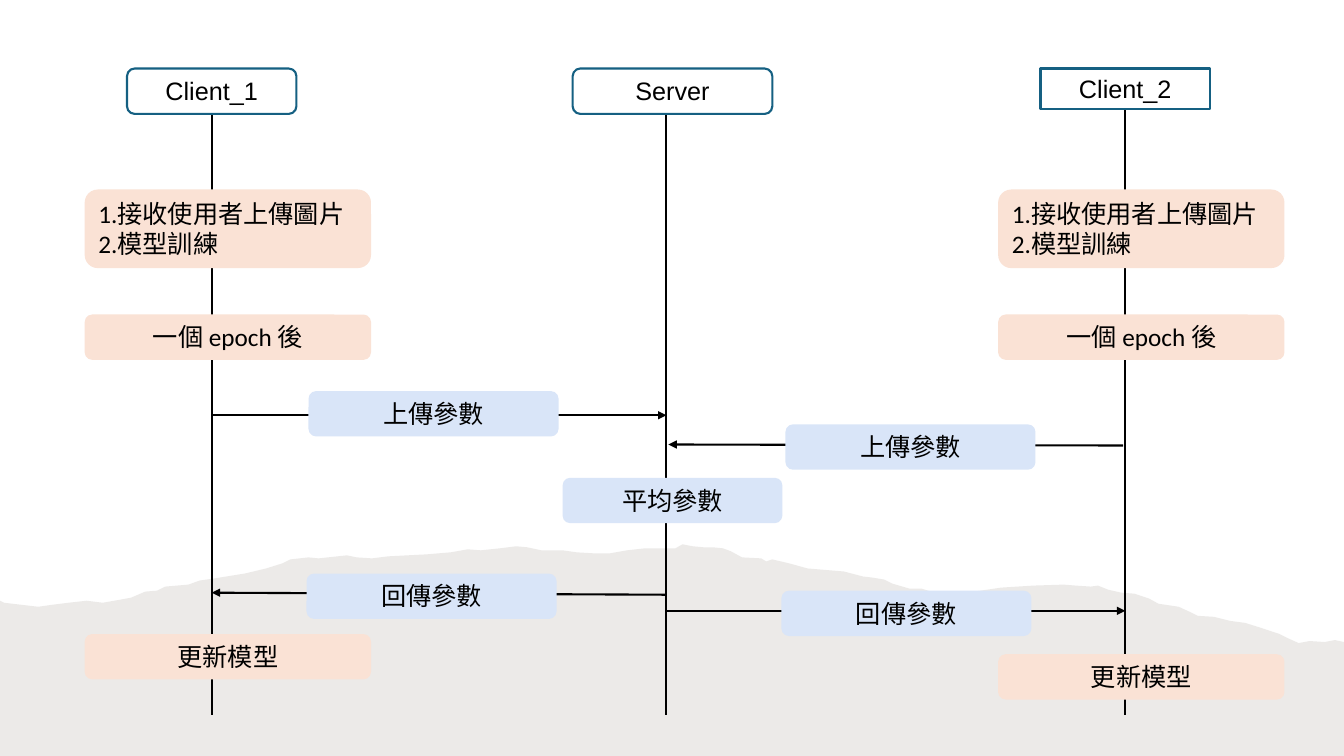
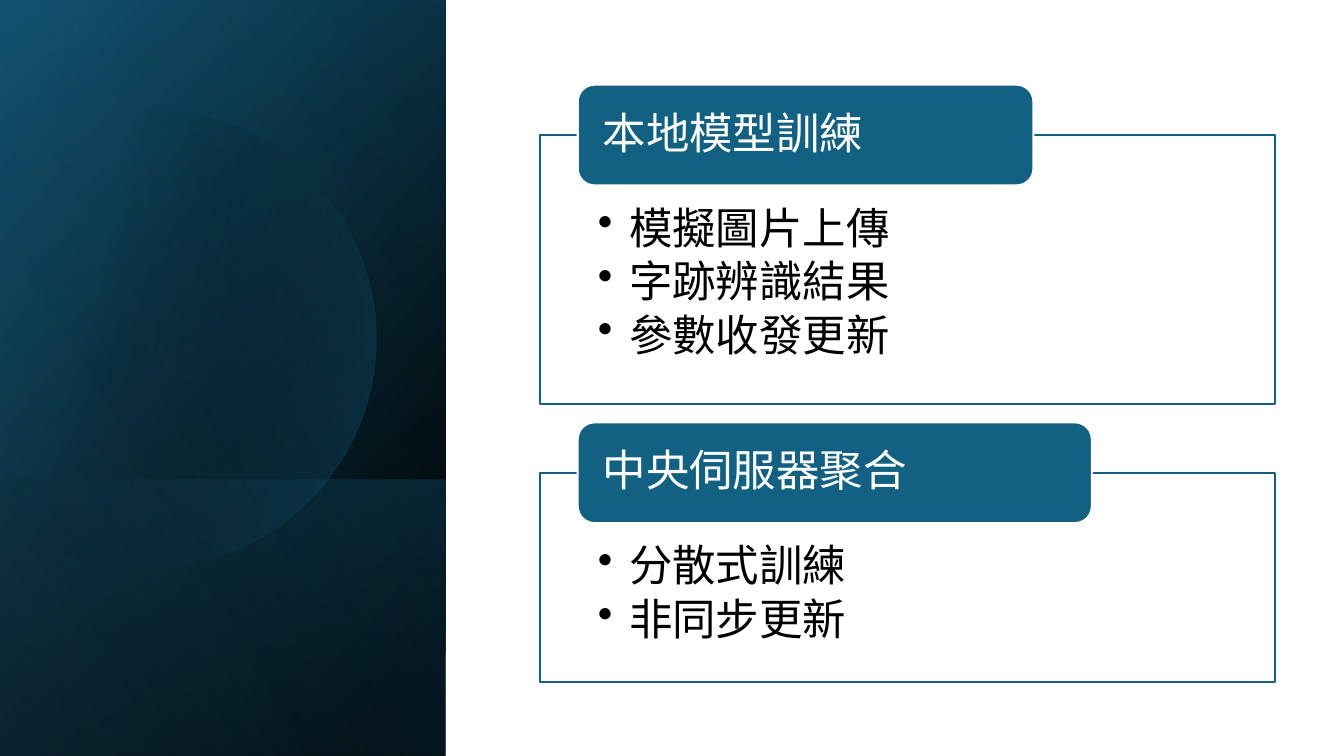
from dataclasses import dataclass
from math import acos, cos, sin

from lxml import etree
from pptx import Presentation, util as u
from pptx.dml.color import RGBColor
from pptx.enum import shapes, text
from pptx.oxml.ns import qn

KIND = shapes.MSO_SHAPE
CENTER = text.PP_ALIGN.CENTER


@dataclass(frozen=True)
class Theme:
    """Colours, fonts and sizes shared by the slides."""
    ink: str = "000000"
    paper: str = "FFFFFF"
    teal: str = "156082"
    deep: str = "126082"
    navy: str = "0F4861"
    sky: str = "43AFE2"
    peach: str = "FAE2D5"
    pale: str = "D9E5F8"
    stone: str = "82766A"
    latin: str = "Arial"
    body: str = "Calibri"
    small: int = 18
    large: int = 31
    stroke: float = 1.5


T = Theme()

RIDGE = [
    (0, 5.96), (0.04, 5.98), (0.21, 6), (0.38, 6.02), (0.52, 6), (0.68, 5.98),
    (0.86, 5.96), (1.02, 5.98), (1.19, 5.95), (1.3, 5.93), (1.44, 5.87),
    (1.56, 5.86), (1.64, 5.82), (1.87, 5.8), (1.98, 5.76), (2.12, 5.74),
    (2.43, 5.69), (2.64, 5.64), (2.8, 5.59), (2.88, 5.55), (3.06, 5.53),
    (3.16, 5.54), (3.44, 5.51), (3.54, 5.53), (3.69, 5.54), (3.85, 5.52),
    (4.04, 5.51), (4.23, 5.5), (4.47, 5.48), (4.64, 5.45), (4.77, 5.46),
    (4.96, 5.44), (5.12, 5.42), (5.23, 5.43), (5.37, 5.46), (5.58, 5.46),
    (5.72, 5.48), (5.89, 5.49), (6.05, 5.49), (6.22, 5.46), (6.4, 5.44),
    (6.7, 5.44), (6.77, 5.4), (6.87, 5.42), (6.98, 5.43), (7.07, 5.43),
    (7.17, 5.44), (7.25, 5.47), (7.36, 5.53), (7.55, 5.54), (7.6, 5.57),
    (7.66, 5.55), (7.83, 5.59), (8.01, 5.64), (8.25, 5.66), (8.37, 5.67),
    (8.56, 5.72), (8.65, 5.73), (8.77, 5.75), (8.85, 5.79), (9.02, 5.84),
    (9.14, 5.84), (9.27, 5.88), (9.38, 5.9), (9.52, 5.87), (9.66, 5.87),
    (9.93, 5.83), (10.25, 5.81), (10.55, 5.8), (10.67, 5.81), (10.82, 5.82),
    (10.89, 5.81), (10.99, 5.85), (11.12, 5.88), (11.25, 5.89), (11.4, 5.94),
    (11.49, 5.99), (11.69, 6.02), (11.8, 6.07), (11.88, 6.11), (12.04, 6.12),
    (12.2, 6.16), (12.35, 6.18), (12.51, 6.23), (12.69, 6.29), (12.77, 6.33),
    (12.88, 6.38), (12.99, 6.36), (13.14, 6.37), (13.24, 6.35), (13.33, 6.37),
    (13.33, 7.5), (0, 7.5),
]


class Deck:
    """Holds the file and the current slide, and draws each kind of element."""

    def __init__(self):
        self.file = Presentation()
        self.file.slide_width = u.Inches(13.33)
        self.file.slide_height = u.Inches(7.5)

    def page(self):
        """Start a blank slide."""
        layout = self.file.slide_layouts[6]
        self.items = self.file.slides.add_slide(layout).shapes

    def dress(self, shape, fill, line=None):
        """Give a shape a plain fill and an optional line."""
        shape.shadow.inherit = False
        shape.fill.solid()
        shape.fill.fore_color.rgb = RGBColor.from_string(fill)
        if line:
            shape.line.color.rgb = RGBColor.from_string(line)
            shape.line.width = u.Pt(T.stroke)
        else:
            shape.line.fill.background()
        return shape

    def box(self, x, y, w, h, fill, line=None, kind=KIND.ROUNDED_RECTANGLE):
        """Add a filled preset shape."""
        place = [u.Inches(v) for v in (x, y, w, h)]
        return self.dress(self.items.add_shape(kind, *place), fill, line)

    def shade(self, shape, stops, angle):
        """Fill a shape with a gradient of (place, colour, opacity) stops."""
        grad = etree.Element(qn("a:gradFill"), rotWithShape="1")
        rows = etree.SubElement(grad, qn("a:gsLst"))
        for place, hue, alpha in stops:
            stop = etree.SubElement(rows, qn("a:gs"), pos=str(place * 1000))
            tone = etree.SubElement(stop, qn("a:srgbClr"), val=hue)
            self.fade(tone, alpha)
        etree.SubElement(grad, qn("a:lin"), ang=str(angle * 60000), scaled="0")
        props = shape.element.spPr
        props.replace(props.find(qn("a:solidFill")), grad)

    def fade(self, tone, alpha):
        """Set the opacity of a colour in percent."""
        etree.SubElement(tone, qn("a:alpha"), val=str(alpha * 1000))

    def outline(self, dots, fill):
        """Add a closed freeform through points in inches."""
        spots = [(u.Inches(x), u.Inches(y)) for x, y in dots]
        pen = self.items.build_freeform(*spots[0])
        pen.add_line_segments(spots[1:])
        return self.dress(pen.convert_to_shape(), fill)

    def line(self, x1, y1, x2, y2, arrow=False):
        """Add a straight line, with an arrowhead at its end if asked."""
        ends = [u.Inches(v) for v in (x1, y1, x2, y2)]
        line = self.items.add_connector(shapes.MSO_CONNECTOR.STRAIGHT, *ends)
        line.line.color.rgb = RGBColor.from_string(T.ink)
        line.line.width = u.Pt(T.stroke)
        props = line.element.spPr
        if arrow:
            etree.SubElement(props.find(qn("a:ln")), qn("a:tailEnd"), type="triangle")
        etree.SubElement(props, qn("a:effectLst"))

    def words(self, shape, rows, size=T.small, hue=T.ink, font=T.body, align=CENTER,
              pad=(0.1, 0.05), anchor=text.MSO_ANCHOR.TOP, lead=None, bullet=False):
        """Put one paragraph per row into a shape."""
        frame = shape.text_frame
        frame.word_wrap = True
        frame.vertical_anchor = anchor
        frame.margin_left = frame.margin_right = u.Inches(pad[0])
        frame.margin_top = frame.margin_bottom = u.Inches(pad[1])
        frame.text = "\n".join(rows)
        for i, para in enumerate(frame.paragraphs):
            para.alignment = align
            if lead:
                para.line_spacing = lead
            if bullet:
                if i:
                    para.space_before = u.Pt(4.7)
                props = para._p.get_or_add_pPr()
                props.set("marL", str(u.Inches(0.31)))
                props.set("indent", str(u.Inches(-0.31)))
                etree.SubElement(props, qn("a:buChar"), char="•")
            para.font.name = font
            para.font.size = u.Pt(size)
            para.font.color.rgb = RGBColor.from_string(hue)

    def label(self, x, y, w, note, fill):
        """Add a one-line rounded label."""
        self.words(self.box(x, y, w, 0.45, fill), [note])

    def group(self, y, h, wide, head, rows):
        """Add a framed bullet list with a heading tab."""
        frame = self.box(5.36, y, 7.29, h, T.paper, T.deep, KIND.RECTANGLE)
        self.words(frame, rows, T.large, align=text.PP_ALIGN.LEFT, pad=(0.57, 0.71),
                   lead=0.9, bullet=True)
        tab = self.box(5.73, y - 0.5, wide, 1, T.deep, T.paper)
        self.words(tab, [head], T.large, T.paper, align=text.PP_ALIGN.LEFT,
                   pad=(0.2, 0), anchor=text.MSO_ANCHOR.MIDDLE, lead=0.9)


def flow(deck):
    """Draw the exchange between the clients and the server."""
    deck.page()
    ridge = deck.outline(RIDGE, T.stone)
    deck.fade(ridge.element.spPr.find(qn("a:solidFill"))[0], 15)
    left, mid, right = 2.1, 6.61, 11.16
    actors = [
        ("Client_1", 1.26, 1.68, 0.45, left, KIND.ROUNDED_RECTANGLE),
        ("Server", 5.68, 1.98, 0.45, mid, KIND.ROUNDED_RECTANGLE),
        ("Client_2", 10.32, 1.68, 0.4, right, KIND.RECTANGLE),
    ]
    for name, x, w, h, axis, kind in actors:
        deck.line(axis, 0.68 + h, axis, 7.09)
        actor = deck.box(x, 0.68, w, h, T.paper, T.teal, kind)
        deck.words(actor, [name], font=T.latin)
    sends = [
        (left, 4.12, mid, 4.12, 3.06, 3.88, "上傳參數"),
        (right - 0.02, 4.42, mid + 0.02, 4.41, 7.79, 4.21, "上傳參數"),
        (mid, 5.9, left, 5.88, 3.04, 5.69, "回傳參數"),
        (mid, 6.06, right, 6.06, 7.75, 5.86, "回傳參數"),
    ]
    for x1, y1, x2, y2, x, y, note in sends:
        deck.line(x1, y1, x2, y2, arrow=True)
        deck.label(x, y, 2.48, note, T.pale)
    deck.label(5.58, 4.74, 2.18, "平均參數", T.pale)
    for x, last in ((0.84, 6.29), (9.9, 6.49)):
        task = deck.box(x, 1.88, 2.84, 0.78, T.peach)
        deck.words(task, ["1.接收使用者上傳圖片", "2.模型訓練"],
                   align=text.PP_ALIGN.LEFT)
        deck.label(x, 3.12, 2.84, "一個 epoch 後", T.peach)
        deck.label(x, last, 2.84, "更新模型", T.peach)


def parts(deck):
    """Draw the two parts of the system beside a shaded panel."""
    deck.page()

    def panel(top, angle, *stops):
        """Add a shaded panel from the given top down to the slide's foot."""
        sheet = deck.box(0, top, 4.42, 7.5 - top, T.ink, kind=KIND.RECTANGLE)
        deck.shade(sheet, stops, angle)

    panel(0, 220, (0, T.ink, 100), (8, T.ink, 100), (100, T.navy, 100))
    panel(0, 240, (0, T.ink, 0), (99, T.teal, 46), (100, T.teal, 46))
    panel(4.76, 140, (0, T.teal, 29), (2, T.teal, 29), (100, T.ink, 30))
    x, y, r, count = 1.45, 3.36, 2.28, 90
    edge = acos(-x / r)
    turns = [edge * (2 * i / count - 1) for i in range(count + 1)]
    disc = deck.outline([(x + r * cos(a), y + r * sin(a)) for a in turns], T.ink)
    deck.shade(disc, [(0, T.ink, 0), (29, T.ink, 0), (100, T.teal, 43)], 14)
    panel(0, 150, (0, T.ink, 0), (99, T.sky, 11), (100, T.sky, 11))
    deck.group(1.34, 2.67, 4.52, "本地模型訓練",
               ["模擬圖片上傳", "字跡辨識結果", "參數收發更新"])
    deck.group(4.69, 2.08, 5.1, "中央伺服器聚合", ["分散式訓練", "非同步更新"])


def main():
    """Build and save the slides."""
    deck = Deck()
    flow(deck)
    parts(deck)
    deck.file.save("out.pptx")


if __name__ == "__main__":
    main()
